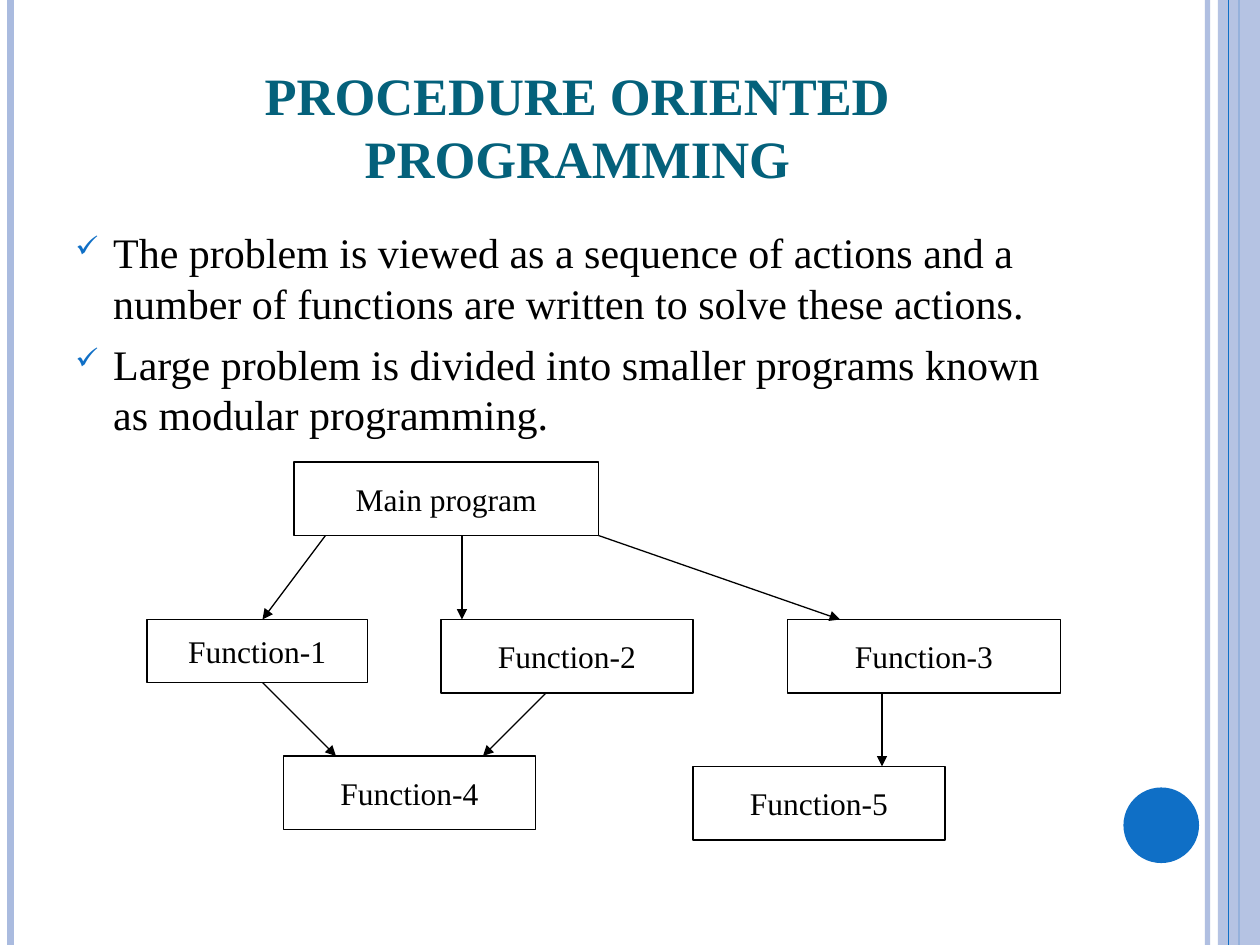
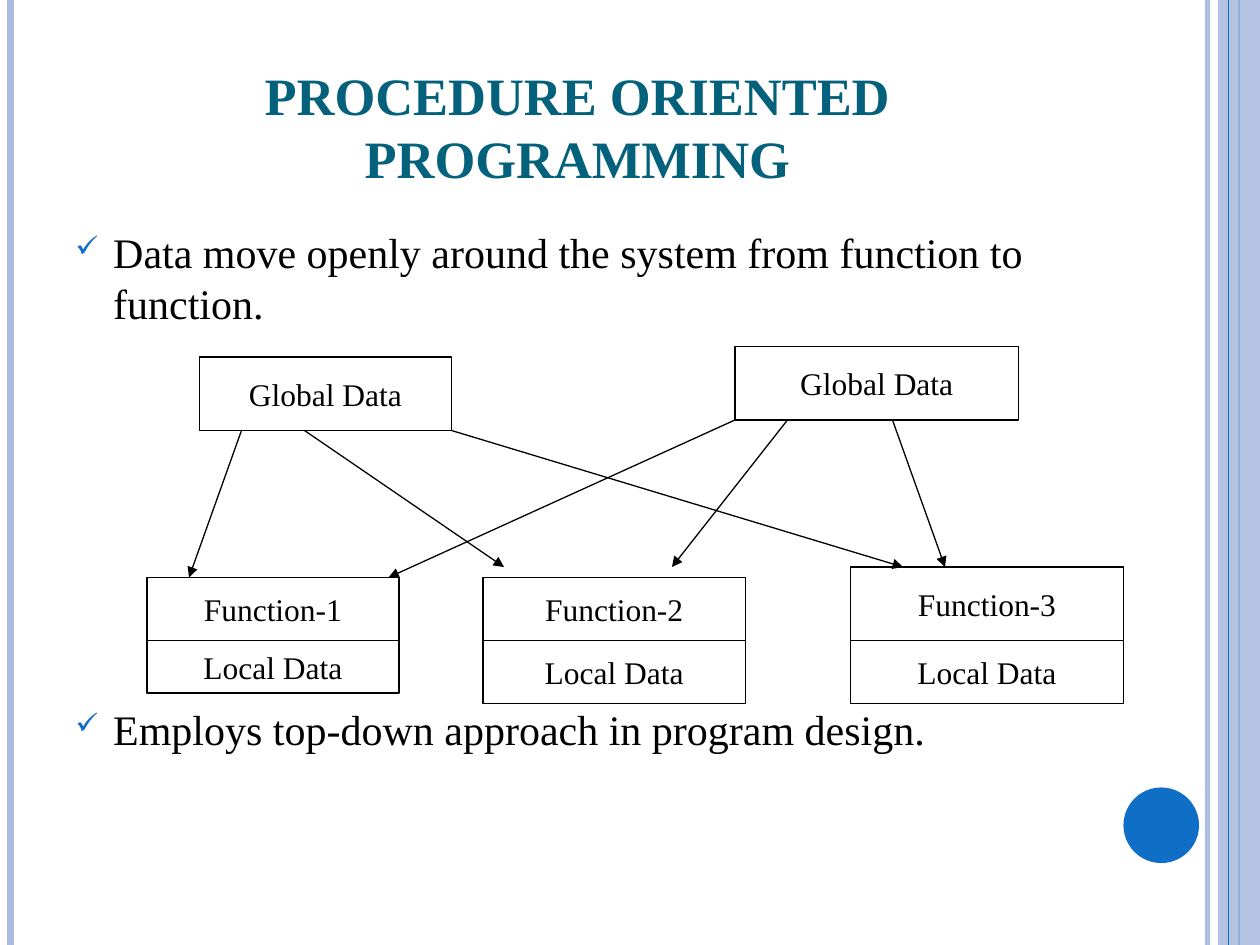
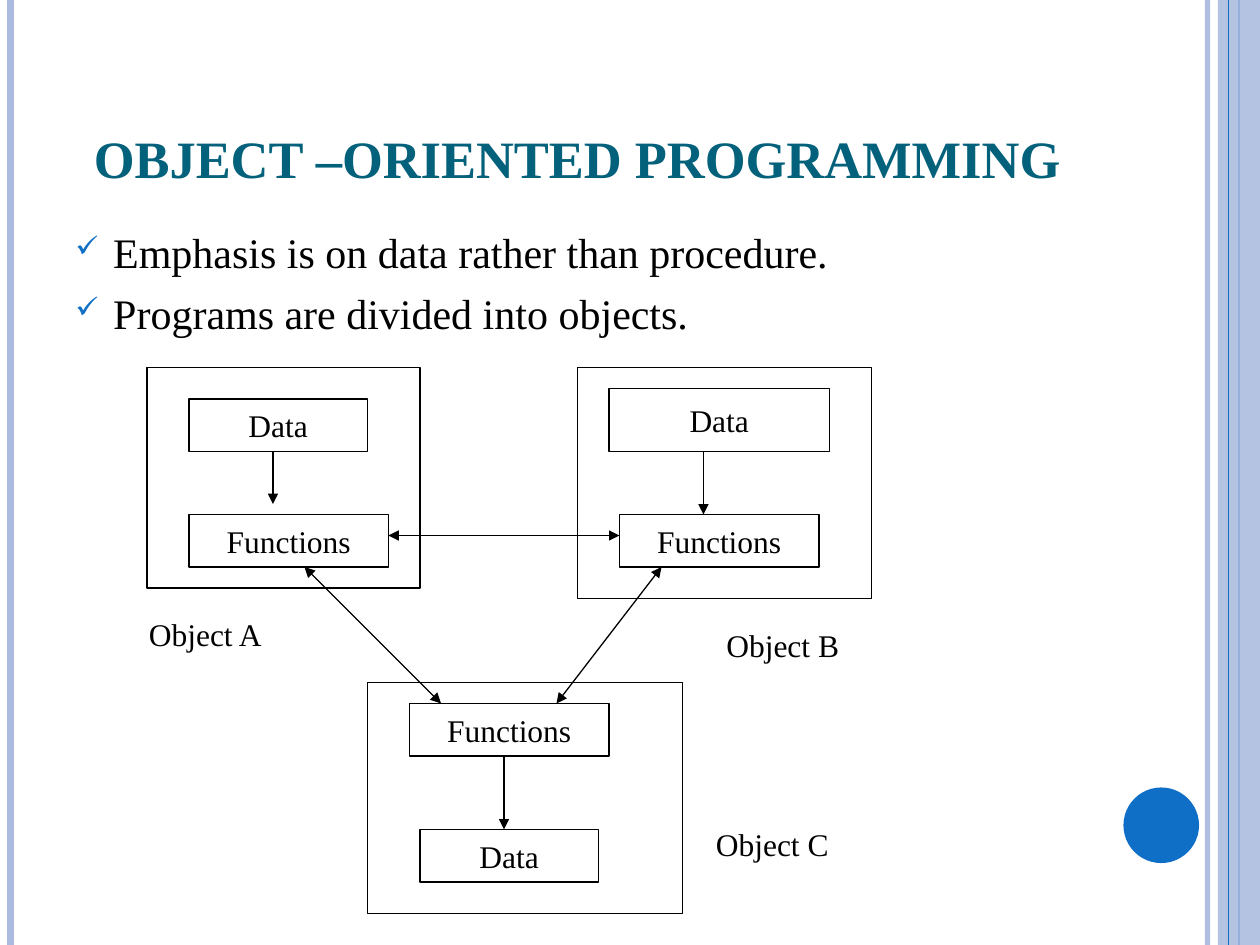
from dataclasses import dataclass
from typing import Optional

from pptx import Presentation
from pptx.dml.color import RGBColor
from pptx.enum.shapes import MSO_CONNECTOR as Connector, MSO_SHAPE as Preset
from pptx.enum.text import MSO_ANCHOR as Anchor, MSO_AUTO_SIZE as AutoSize, PP_ALIGN as Align
from pptx.oxml.ns import qn
from pptx.oxml.xmlchemy import OxmlElement
from pptx.util import Inches, Pt

# The grid has twelve cells to the inch.
COLUMNS, ROWS = 120, 90
CELL = Inches(10) // COLUMNS

BLACK = RGBColor(0x00, 0x00, 0x00)
WHITE = RGBColor(0xFF, 0xFF, 0xFF)
BLUE = RGBColor(0x0F, 0x6F, 0xC6)
PALE_BLUE = RGBColor(0xAA, 0xBB, 0xDF)
TEAL = RGBColor(0x04, 0x61, 0x7B)

FONT = "Times New Roman"
TITLE_SIZE, BODY_SIZE, LABEL_SIZE = 30, 24, 18
BULLET_INDENT = Inches(0.3)
BULLET_GAP = 6
DIAGRAM_GAP = 215


@dataclass(frozen=True)
class Area:
    column: float
    row: float
    width: float
    height: float

    def emu(self) -> list[int]:
        return [cells(n) for n in (self.column, self.row, self.width, self.height)]


@dataclass(frozen=True)
class Box:
    area: Area
    text: str = ""


@dataclass(frozen=True)
class Arrow:
    start: tuple[float, float]
    end: tuple[float, float]
    two_way: bool = False


@dataclass(frozen=True)
class Bullet:
    text: str
    gap: float = BULLET_GAP


@dataclass(frozen=True)
class Rule:
    column: float
    color: RGBColor
    weight: float
    opacity: int = 100


@dataclass(frozen=True)
class Page:
    title: str
    bullets: tuple[Bullet, ...]
    boxes: tuple[Box, ...]
    arrows: tuple[Arrow, ...]
    labels: tuple[Box, ...] = ()


TITLE_AREA = Area(6, 3.6, 98, 15)
BODY_AREA = Area(6, 21, 98, 64)
BAND_AREA = Area(116, 0, 4, ROWS)
DISC_AREA = Area(107, 75, 7.2, 7.2)
RULES_BELOW_BAND = (
    Rule(115, PALE_BLUE, 3, 93),
    Rule(1, PALE_BLUE, 4.5),
    Rule(118, BLUE, 1.5),
)
RULE_ABOVE_BAND = Rule(117, BLUE, 0.75)

PROCEDURE_TITLE = "PROCEDURE ORIENTED PROGRAMMING"
PAGES = (
    Page(
        PROCEDURE_TITLE,
        (
            Bullet("The problem is viewed as a sequence of actions and a number of "
                   "functions are written to solve these actions."),
            Bullet("Large problem is divided into smaller programs known as modular programming."),
        ),
        (
            Box(Area(28, 44, 29, 7), "Main program"),
            Box(Area(14, 59, 21, 6), "Function-1"),
            Box(Area(42, 59, 24, 7), "Function-2"),
            Box(Area(75, 59, 26, 7), "Function-3"),
            Box(Area(27, 72, 24, 7), "Function-4"),
            Box(Area(66, 73, 24, 7), "Function-5"),
        ),
        (
            Arrow((31, 51), (25, 59)),
            Arrow((44, 51), (44, 59)),
            Arrow((57, 51), (80, 59)),
            Arrow((25, 65), (32, 72)),
            Arrow((52, 66), (46, 72)),
            Arrow((84, 66), (84, 73)),
        ),
    ),
    Page(
        PROCEDURE_TITLE,
        (
            Bullet("Data move openly around the system from function to function."),
            Bullet("Employs top-down approach in program design.", DIAGRAM_GAP),
        ),
        (
            Box(Area(19, 34, 24, 7), "Global Data"),
            Box(Area(70, 33, 27, 7), "Global Data"),
            Box(Area(14, 55, 24, 6), "Function-1"),
            Box(Area(46, 55, 25, 6), "Function-2"),
            Box(Area(81, 54, 26, 7), "Function-3"),
            Box(Area(14, 61, 24, 5), "Local Data"),
            Box(Area(46, 61, 25, 6), "Local Data"),
            Box(Area(81, 61, 26, 6), "Local Data"),
        ),
        (
            Arrow((23, 41), (18, 55)),
            Arrow((29, 41), (48, 54)),
            Arrow((43, 41), (86, 54)),
            Arrow((70, 40), (37, 55)),
            Arrow((75, 40), (64, 54)),
            Arrow((85, 40), (90, 54)),
        ),
    ),
    Page(
        "OBJECT –ORIENTED PROGRAMMING",
        (
            Bullet("Emphasis is on data rather than procedure."),
            Bullet("Programs are divided into objects."),
        ),
        (
            Box(Area(14, 35, 26, 21)),
            Box(Area(18, 38, 17, 5), "Data"),
            Box(Area(18, 49, 19, 5), "Functions"),
            Box(Area(55, 35, 28, 22)),
            Box(Area(58, 37, 21, 6), "Data"),
            Box(Area(59, 49, 19, 5), "Functions"),
            Box(Area(35, 65, 30, 22)),
            Box(Area(39, 67, 19, 5), "Functions"),
            Box(Area(40, 79, 17, 5), "Data"),
        ),
        (
            Arrow((26, 43), (26, 48)),
            Arrow((67, 43), (67, 49)),
            Arrow((48, 72), (48, 79)),
            Arrow((37, 51), (59, 51), two_way=True),
            Arrow((29, 54), (42, 67), two_way=True),
            Arrow((63, 54), (53, 67), two_way=True),
        ),
        (
            Box(Area(13, 58, 18, 4.8), "Object A"),
            Box(Area(68, 59, 23, 4.8), "Object B"),
            Box(Area(67, 78, 23, 4.8), "Object C"),
        ),
    ),
)


def cells(count: float) -> int:
    return round(count * CELL)


def add_element(parent, tag: str, **attributes: str):
    element = OxmlElement(tag)
    for name, value in attributes.items():
        element.set(name, value)
    parent.append(element)
    return element


def set_opacity(shape, percent: int) -> None:
    for color in shape.element.spPr.iter(qn("a:srgbClr")):
        add_element(color, "a:alpha", val=str(percent * 1000))


def write(paragraph, text: str, size: float, color: RGBColor = BLACK, bold: bool = False) -> None:
    run = paragraph.add_run()
    run.text = text
    run.font.name = FONT
    run.font.size = Pt(size)
    run.font.bold = bold
    run.font.color.rgb = color


def add_line(slide, start: tuple[float, float], end: tuple[float, float],
             color: RGBColor, weight: float):
    points = [cells(value) for value in (*start, *end)]
    line = slide.shapes.add_connector(Connector.STRAIGHT, *points)
    line.line.color.rgb = color
    line.line.width = Pt(weight)
    add_element(line.element.spPr, "a:effectLst")
    return line


def add_rule(slide, rule: Rule) -> None:
    line = add_line(slide, (rule.column, 0), (rule.column, ROWS), rule.color, rule.weight)
    if rule.opacity < 100:
        set_opacity(line, rule.opacity)


def add_arrow(slide, arrow: Arrow) -> None:
    line = add_line(slide, arrow.start, arrow.end, BLACK, 0.75)
    outline = line.element.spPr.get_or_add_ln()
    if arrow.two_way:
        add_element(outline, "a:headEnd", type="triangle")
    add_element(outline, "a:tailEnd", type="triangle")


def add_filled(slide, preset: Preset, area: Area, fill: RGBColor,
               outline: Optional[RGBColor] = None):
    shape = slide.shapes.add_shape(preset, *area.emu())
    shape.shadow.inherit = False
    shape.fill.solid()
    shape.fill.fore_color.rgb = fill
    if outline is None:
        shape.line.fill.background()
    else:
        shape.line.color.rgb = outline
        shape.line.width = Pt(0.75)
    return shape


def add_box(slide, box: Box) -> None:
    shape = add_filled(slide, Preset.RECTANGLE, box.area, WHITE, BLACK)
    if box.text:
        frame = shape.text_frame
        frame.word_wrap = False
        frame.vertical_anchor = Anchor.MIDDLE
        paragraph = frame.paragraphs[0]
        paragraph.alignment = Align.CENTER
        write(paragraph, box.text, LABEL_SIZE)


def add_text_frame(slide, area: Area):
    frame = slide.shapes.add_textbox(*area.emu()).text_frame
    frame.word_wrap = True
    return frame


def add_label(slide, label: Box) -> None:
    frame = add_text_frame(slide, label.area)
    frame.auto_size = AutoSize.SHAPE_TO_FIT_TEXT
    write(frame.paragraphs[0], label.text, LABEL_SIZE)


def add_title(slide, title: str) -> None:
    frame = add_text_frame(slide, TITLE_AREA)
    frame.vertical_anchor = Anchor.BOTTOM
    paragraph = frame.paragraphs[0]
    paragraph.alignment = Align.CENTER
    write(paragraph, title, TITLE_SIZE, TEAL, bold=True)


def add_check_mark(paragraph) -> None:
    properties = paragraph._p.get_or_add_pPr()
    properties.set("marL", str(BULLET_INDENT))
    properties.set("indent", str(-BULLET_INDENT))
    color = add_element(properties, "a:buClr")
    add_element(color, "a:srgbClr", val=str(BLUE))
    add_element(properties, "a:buSzPct", val="70000")
    add_element(properties, "a:buChar", char="✓")


def add_bullets(slide, bullets: tuple[Bullet, ...]) -> None:
    frame = add_text_frame(slide, BODY_AREA)
    for index, bullet in enumerate(bullets):
        paragraph = frame.add_paragraph() if index else frame.paragraphs[0]
        add_check_mark(paragraph)
        if index:
            paragraph.space_before = Pt(bullet.gap)
        write(paragraph, bullet.text, BODY_SIZE)


def add_side_decoration(slide) -> None:
    for rule in RULES_BELOW_BAND:
        add_rule(slide, rule)
    band = add_filled(slide, Preset.RECTANGLE, BAND_AREA, PALE_BLUE)
    set_opacity(band, 87)
    add_rule(slide, RULE_ABOVE_BAND)
    add_filled(slide, Preset.OVAL, DISC_AREA, BLUE)


def add_page(presentation, page: Page) -> None:
    slide = presentation.slides.add_slide(presentation.slide_layouts[6])
    add_side_decoration(slide)
    add_title(slide, page.title)
    add_bullets(slide, page.bullets)
    for box in page.boxes:
        add_box(slide, box)
    for arrow in page.arrows:
        add_arrow(slide, arrow)
    for label in page.labels:
        add_label(slide, label)


def main() -> None:
    presentation = Presentation()
    presentation.slide_width = cells(COLUMNS)
    presentation.slide_height = cells(ROWS)
    for page in PAGES:
        add_page(presentation, page)
    presentation.save("out.pptx")


if __name__ == "__main__":
    main()
